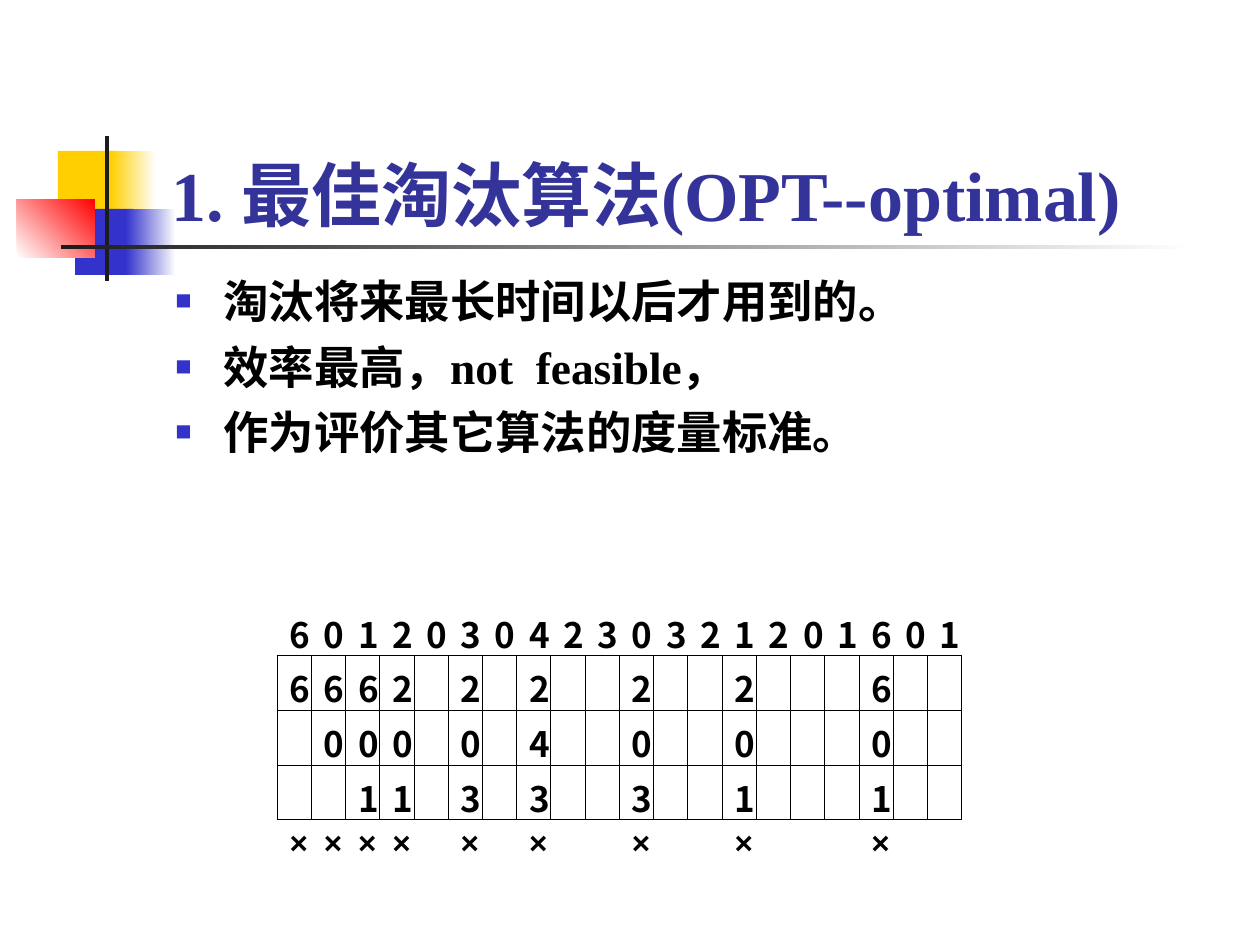
from lxml import etree
from pptx import Presentation
from pptx import util as u
from pptx.dml.color import RGBColor
from pptx.enum import shapes, text
from pptx.oxml.ns import qn

BLACK, WHITE, DARK = "000000", "FFFFFF", "1C1C1C"
GOLD, BLUE, RED, NAVY = "FFCF01", "3333CC", "FF0000", "333399"
SERIF, SANS, CJK = "Times New Roman", "Arial", "Noto Sans CJK SC"


def px(n):
    return u.Emu(round(n * 914400 / 126))


def color(code):
    return RGBColor.from_string(code)


class Deck:
    def __init__(self):
        self.prs = Presentation()
        self.prs.slide_width, self.prs.slide_height = px(1260), px(945)
        self.slide = self.prs.slides.add_slide(self.prs.slide_layouts[5])

    def place(self, item, box):
        item.left, item.top, item.width, item.height = map(px, box)

    def style(self, par, face, size, code):
        for run in par.runs:
            font = run.font
            font.name, font.size, font.bold = face, u.Pt(size), True
            font.color.rgb = color(code)

    def hang(self, par):
        props = par._p.get_or_add_pPr()
        props.set("marL", str(px(48)))
        props.set("indent", str(-px(48)))
        return props

    def rect(self, box, code, end=None, angle=0):
        item = self.slide.shapes.add_shape(
            shapes.MSO_SHAPE.RECTANGLE, *map(px, box))
        item.shadow.inherit = False
        item.line.fill.background()
        if end is None:
            item.fill.solid()
            item.fill.fore_color.rgb = color(code)
            return
        item.fill.gradient()
        item.fill.gradient_angle = angle
        for stop, tone, pos in zip(item.fill.gradient_stops, (code, end), (0, 1)):
            stop.color.rgb, stop.position = color(tone), pos

    def title(self, box, words):
        item = self.slide.shapes.title
        self.slide.shapes._spTree.append(item._element)
        self.place(item, box)
        frame = item.text_frame
        frame.text = words
        frame.auto_size = text.MSO_AUTO_SIZE.NONE
        frame.vertical_anchor = text.MSO_ANCHOR.BOTTOM
        par = frame.paragraphs[0]
        par.alignment = text.PP_ALIGN.LEFT
        self.style(par, SERIF, 40, NAVY)

    def bullets(self, box, lines):
        frame = self.slide.shapes.add_textbox(*map(px, box)).text_frame
        frame.word_wrap = True
        frame.text = "\n".join(lines)
        for i, par in enumerate(frame.paragraphs):
            props = self.hang(par)
            tint = etree.SubElement(props, qn("a:buClr"))
            etree.SubElement(tint, qn("a:srgbClr"), val=BLUE)
            etree.SubElement(props, qn("a:buSzPct"), val="60000")
            etree.SubElement(props, qn("a:buFont"), typeface=SANS)
            etree.SubElement(props, qn("a:buChar"), char="■")
            par.line_spacing = 0.8
            if i:
                par.space_before = u.Pt(12.5)
            self.style(par, SERIF, 25.9, BLACK)

    def border(self, cell, sides):
        props = cell._tc.get_or_add_tcPr()
        for side in "LRTB":
            line = etree.SubElement(props, qn("a:ln" + side), w=str(u.Pt(0.45)))
            if side in sides:
                fill = etree.SubElement(line, qn("a:solidFill"))
                etree.SubElement(fill, qn("a:srgbClr"), val=BLACK)
            else:
                etree.SubElement(line, qn("a:noFill"))

    def table(self, box, rows):
        last = len(rows) - 1
        grid = self.slide.shapes.add_table(
            len(rows), len(rows[0]), *map(px, box)).table
        grid.first_row = grid.horz_banding = False
        for r, row in enumerate(rows):
            grid.rows[r].height = px(50 if r == last else 54)
            sides = {0: "B", last: "T"}.get(r, "LRTB")
            face, size = (SANS, 18) if r == last else (CJK, 20)
            for c, mark in enumerate(row):
                cell = grid.cell(r, c)
                self.border(cell, sides)
                cell.fill.background()
                if mark != " ":
                    cell.text = mark
                    par = cell.text_frame.paragraphs[0]
                    self.hang(par)
                    self.style(par, face, size, BLACK)


def main():
    deck = Deck()
    deck.rect((58, 151, 60, 66), GOLD)
    deck.rect((111, 151, 45, 66), GOLD, WHITE)
    deck.rect((75, 209, 58, 66), BLUE)
    deck.rect((126, 209, 50, 66), BLUE, WHITE)
    deck.rect((17, 199, 78, 59), WHITE, RED, 45)
    deck.rect((105, 136, 4, 145), DARK)
    deck.rect((61, 245, 1134, 4), DARK, WHITE)
    deck.title((159, 84, 1074, 158), "1. 最佳淘汰算法(OPT--optimal)")
    deck.bullets((163, 278, 1071, 229), (
        "淘汰将来最长时间以后才用到的。",
        "效率最高，not  feasible，",
        "作为评价其它算法的度量标准。"))

    refs = "60120304230321201601"
    frames = {0: "6", 1: "60", 2: "601", 3: "201", 5: "203",
              7: "243", 10: "203", 13: "201", 17: "601"}
    span = range(len(refs))
    slots = [[frames.get(c, "").ljust(3)[k] for c in span] for k in range(3)]
    faults = ["×" if c in frames else " " for c in span]
    deck.table((277, 601, 685, 268), [refs, *slots, faults])
    deck.prs.save("out.pptx")


if __name__ == "__main__":
    main()
